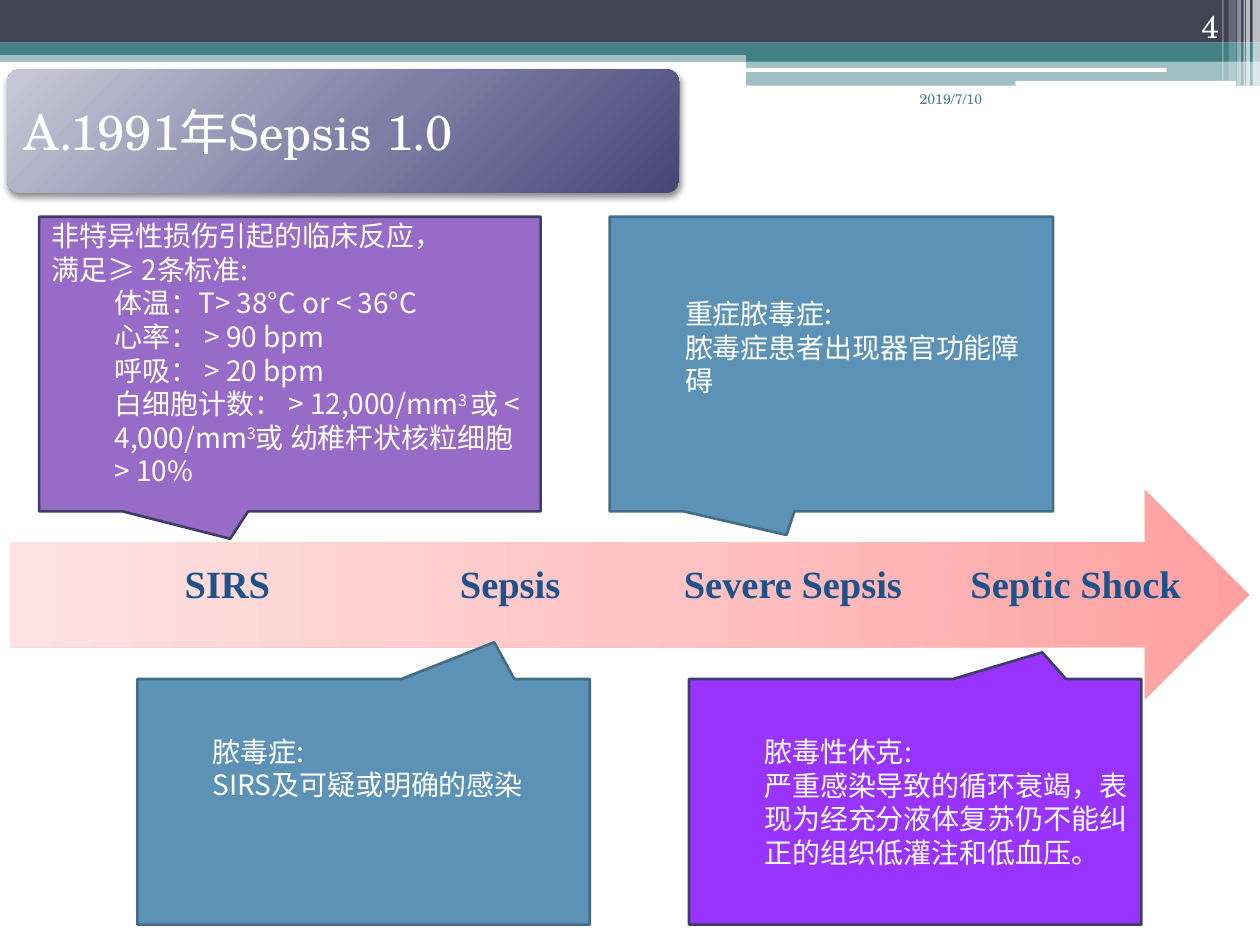
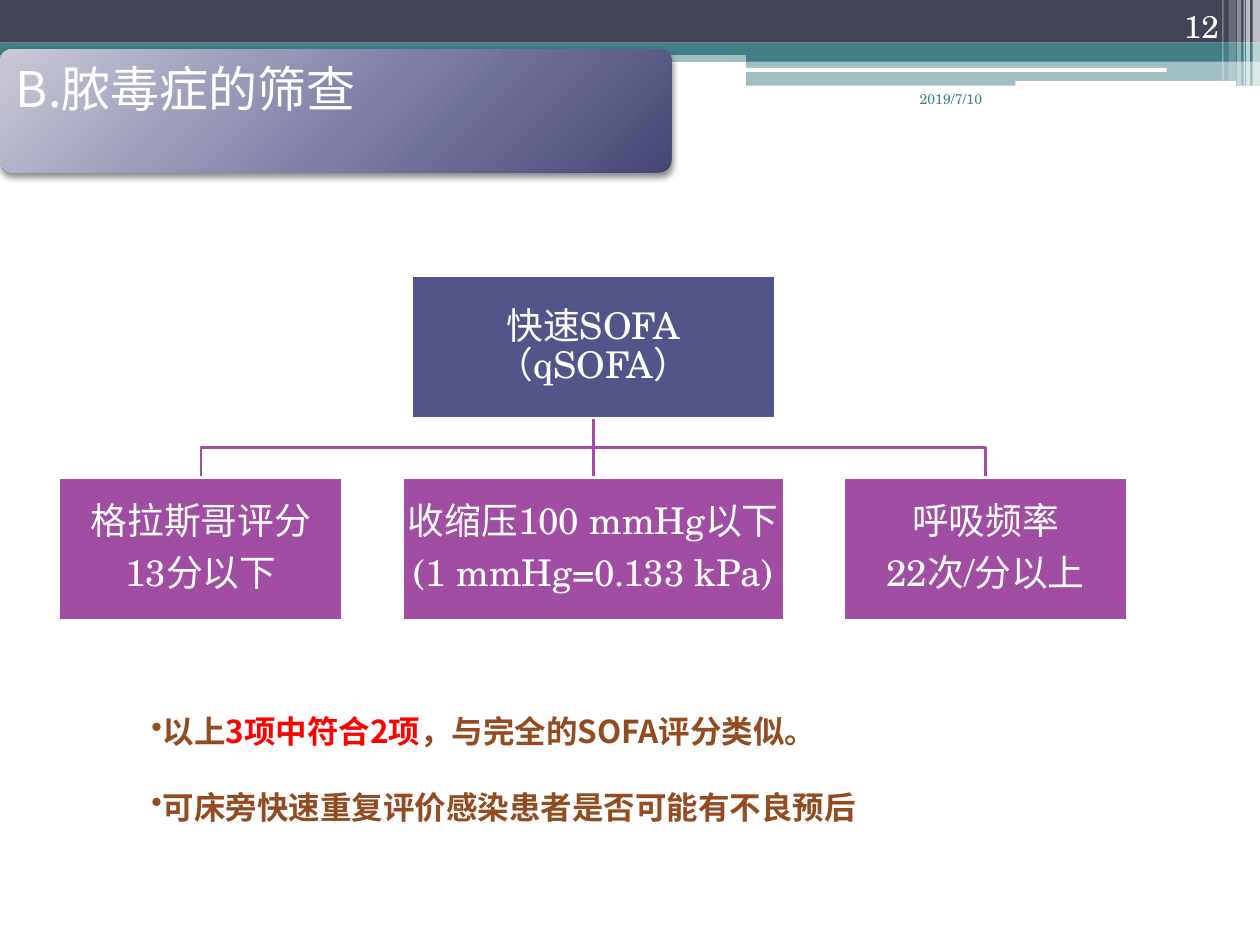
import pptx
import pptx.dml.color
import pptx.enum.shapes
import pptx.enum.text
import pptx.oxml
import pptx.oxml.ns
import pptx.util

Cm = pptx.util.Cm
Pt = pptx.util.Pt
RGBColor = pptx.dml.color.RGBColor
KIND = pptx.enum.shapes.MSO_SHAPE
ANCHOR = pptx.enum.text.MSO_ANCHOR
ALIGN = pptx.enum.text.PP_ALIGN

WHITE = RGBColor(0xFF, 0xFF, 0xFF)
DARK = RGBColor(0x42, 0x44, 0x56)
TEAL = RGBColor(0x43, 0x80, 0x86)
NAVY = RGBColor(0x1D, 0x52, 0x8D)
LILAC = RGBColor(0x97, 0x6B, 0xC7)
STEEL = RGBColor(0x5C, 0x92, 0xB5)
VIOLET = RGBColor(0x99, 0x33, 0xFF)
INDIGO = RGBColor(0x3D, 0x3E, 0x66)
SLATE = RGBColor(0x44, 0x6C, 0x86)
ROOT = RGBColor(0x53, 0x54, 0x8A)
PLUM = RGBColor(0xA0, 0x4D, 0xA3)
BROWN = RGBColor(0x93, 0x4C, 0x22)
RED = RGBColor(0xFF, 0x00, 0x00)

SANS = "Noto Sans CJK SC"
SERIF = "TeX Gyre Schola"
ROMAN = "Times New Roman"

BANDS = [
    (0, 1.02, 25.4, 0.23, TEAL, 50),
    (0, 0, 25.4, 0.86, DARK, 100),
    (0, 0.86, 25.4, 0.25, TEAL, 100),
    (15.04, 0.99, 10.36, 0.25, TEAL, 100),
    (15.04, 1.22, 10.36, 0.51, TEAL, 50),
]
BARS = [(15.01, 1.37, 8.51, 0.08), (20.47, 1.63, 4.45, 0.1)]
STRIPES = [
    (25.25, 0.15, 1.73, 65),
    (25.12, 0.08, 1.73, 65),
    (25.07, 0.03, 1.73, 60),
    (24.94, 0.08, 1.73, 40),
    (24.77, 0.15, 1.63, 20),
    (24.64, 0.03, 1.63, 30),
]
TIGHT = {"alignment": ALIGN.CENTER, "line_spacing": 0.9, "space_after": Pt(7)}
RADIAL = ('<a:path path="circle"><a:fillToRect l="-40000" t="-90000" '
          'r="140000" b="190000"/></a:path>')
LEFTWARD = '<a:lin ang="10800000" scaled="0"/>'


def put(obj, form):
    """Set each attribute named in the format dict."""
    for key, val in form.items():
        setattr(obj, key, val)


def node(tag, attrs="", body=""):
    """Make one drawing element."""
    space = pptx.oxml.ns.nsdecls("a")
    return pptx.oxml.parse_xml(f"<a:{tag} {space} {attrs}>{body}</a:{tag}>")


class Deck:
    """Hold the style and the current slide."""

    def __init__(self):
        """Start an empty deck."""
        self.show = pptx.Presentation()
        put(self.show, {"slide_width": Cm(25.4), "slide_height": Cm(19.05)})

    def page(self, num):
        """Add a slide with the shared bands, date and number."""
        self.slide = self.show.slides.add_slide(self.show.slide_layouts[6])
        for *box, tint, alpha in BANDS:
            self.shape(KIND.RECTANGLE, box, tint, alpha)
        for box in BARS:
            self.shape(KIND.ROUNDED_RECTANGLE, box, WHITE)
        for left, width, height, alpha in STRIPES:
            self.shape(KIND.RECTANGLE, (left, 0, width, height), WHITE, alpha)
        self.label((18.29, 1.7, 2.67, 1.27), "2019/7/10", TEAL,
                   {"size": Pt(8), "name": SERIF})
        self.label((22.71, 0, 2.11, 1.02), num, WHITE,
                   {"size": Pt(18), "name": SERIF},
                   {"vertical_anchor": ANCHOR.BOTTOM},
                   {"alignment": ALIGN.RIGHT})

    def shape(self, kind, box, tint=None, alpha=100, edge=None, adj=()):
        """Add a flat preset shape."""
        item = self.slide.shapes.add_shape(kind, *map(Cm, box))
        for spot, val in enumerate(adj):
            item.adjustments[spot] = val
        if tint is not None:
            item.fill.solid()
            item.fill.fore_color.rgb = tint
            if alpha < 100:
                solid = item.element.spPr.find(pptx.oxml.ns.qn("a:solidFill"))
                solid[0].append(node("alpha", f'val="{alpha * 1000}"'))
        self.stroke(item, edge)
        return item

    def stroke(self, item, edge):
        """Set the outline and drop the shadow."""
        if edge is None:
            item.line.fill.background()
        else:
            item.line.color.rgb = edge
            item.line.width = Pt(1.5)
        item.shadow.inherit = False

    def blend(self, item, stops, route):
        """Fill a shape with a gradient."""
        body = "".join(f'<a:gs pos="{pos * 1000}"><a:srgbClr val="{tint}"/></a:gs>'
                       for pos, tint in stops)
        geom = item.element.spPr.find(pptx.oxml.ns.qn("a:prstGeom"))
        geom.addnext(node("gradFill", 'rotWithShape="1"',
                          f"<a:gsLst>{body}</a:gsLst>{route}"))

    def prose(self, item, paras, ink, font, frame=None, form=None):
        """Set paragraphs, each a string or a list of runs."""
        text = item.text_frame
        put(text, {"word_wrap": True, "vertical_anchor": ANCHOR.MIDDLE,
                   **(frame or {})})
        for spot, runs in enumerate(paras):
            para = text.add_paragraph() if spot else text.paragraphs[0]
            put(para, {"alignment": ALIGN.LEFT, **(form or {})})
            for words, extra in [(runs, {})] if isinstance(runs, str) else runs:
                run = para.add_run()
                run.text = words
                put(run.font, font)
                run.font.color.rgb = extra.get("ink", ink)
                props = run.font._element
                if "base" in extra:
                    props.set("baseline", str(extra["base"] * 1000))
                props.append(node("ea", f'typeface="{SANS}"'))
        return text.paragraphs

    def label(self, box, words, ink, font, frame=None, form=None):
        """Add a one-paragraph text box."""
        item = self.slide.shapes.add_textbox(*map(Cm, box))
        self.prose(item, [words], ink, font,
                   {"vertical_anchor": ANCHOR.TOP, **(frame or {})}, form)

    def title(self, left, top, words, name, anchor):
        """Add the shaded title plate."""
        item = self.shape(KIND.ROUNDED_RECTANGLE, (left, top, 13.54, 2.49),
                          adj=[0.1])
        self.blend(item, [(0, "C9C9D7"), (55, "7D7DA5"), (100, "464774")], RADIAL)
        glow = item.element.spPr.find(pptx.oxml.ns.qn("a:effectLst"))
        glow.append(node(
            "outerShdw", 'blurRad="50800" dist="25400" dir="5400000"',
            '<a:srgbClr val="000000"><a:alpha val="45000"/></a:srgbClr>'))
        self.prose(item, [words], WHITE, {"size": Pt(28), "name": name},
                   {"vertical_anchor": anchor})

    def callout(self, box, tip, tint, edge, paras, foot=0.13, head=0):
        """Add a callout whose paragraphs after the head are indented."""
        item = self.shape(KIND.RECTANGULAR_CALLOUT, box, tint, edge=edge, adj=tip)
        lines = self.prose(item, paras, WHITE, {"size": Pt(16), "name": SANS},
                           {"margin_bottom": Cm(foot)})
        for para in lines[head:]:
            para._p.get_or_add_pPr().set("marL", str(Cm(1.27)))

    def card(self, box, tint, paras):
        """Add a box of the tree."""
        item = self.shape(KIND.RECTANGLE, box, tint, edge=WHITE)
        sides = ("left", "top", "right", "bottom")
        self.prose(item, paras, WHITE, {"size": Pt(21), "name": SERIF},
                   {f"margin_{side}": Cm(0.03) for side in sides}, TIGHT)

    def link(self, start, end, bend):
        """Join a parent to a child, bending at the given height."""
        (left, top), (right, low) = start, end
        if abs(left - right) < 0.01:
            item = self.slide.shapes.add_connector(
                pptx.enum.shapes.MSO_CONNECTOR.STRAIGHT,
                *map(Cm, (left, top, left, low)))
            item.line.color.rgb = PLUM
            item.line.width = Pt(1.5)
            item._element.spPr.append(node("effectLst"))
            return
        pen = self.slide.shapes.build_freeform(Cm(left), Cm(top))
        turns = [(left, bend), (right, bend), (right, low)]
        pen.add_line_segments([(Cm(x), Cm(y)) for x, y in turns], close=False)
        item = pen.convert_to_shape()
        item.fill.background()
        self.stroke(item, PLUM)


def stages(deck):
    """Build the slide on the stages of sepsis."""
    deck.page("4")
    arrow = deck.shape(KIND.RIGHT_ARROW, (0.2, 9.88, 24.99, 4.22))
    deck.blend(arrow, [(0, "FFA0A0"), (50, "FFC5C5"), (100, "FFE3E3")], LEFTWARD)
    frame = {"margin_left": 0, "margin_right": 0, "margin_top": Cm(0.61),
             "margin_bottom": Cm(0.61), "vertical_anchor": ANCHOR.MIDDLE}
    names = ["SIRS", "Sepsis", "Severe Sepsis", "Septic Shock"]
    for spot, name in enumerate(names):
        deck.label((2.21 + 5.7 * spot, 10.72, 4.75, 2.21), name, NAVY,
                   {"size": Pt(22), "name": ROMAN, "bold": True}, frame, TIGHT)
    deck.title(0.15, 1.4, "A.1991年Sepsis 1.0", SERIF, ANCHOR.MIDDLE)
    count = [("白细胞计数： > 12,000/mm", {}), ("3 ", {"base": 30}),
             ("或 < 4,000/mm", {}), ("3", {"base": 30}),
             ("或 幼稚杆状核粒细胞> 10%", {})]
    deck.callout((0.79, 4.37, 10.11, 5.94), (-0.119, 0.593), LILAC, INDIGO,
                 ["非特异性损伤引起的临床反应，", "满足≥ 2条标准:",
                  "体温：T> 38°C or < 36°C", "心率： > 90 bpm",
                  "呼吸： > 20 bpm", count], foot=0.57, head=2)
    deck.callout((12.29, 4.37, 8.94, 5.94), (-0.101, 0.58), STEEL, SLATE,
                 ["重症脓毒症:", "脓毒症患者出现器官功能障碍"], foot=0.81)
    deck.callout((2.77, 13.69, 9.12, 4.95), (0.289, -0.65), STEEL, SLATE,
                 ["脓毒症:", "SIRS及可疑或明确的感染"], foot=1.5)
    deck.callout((13.89, 13.69, 9.12, 4.95), (0.281, -0.609), VIOLET, INDIGO,
                 ["脓毒性休克:",
                  "严重感染导致的循环衰竭，表现为经充分液体复苏仍不能纠正的组织低灌注和低血压。"])


def screen(deck):
    """Build the slide on screening with qSOFA."""
    deck.page("12")
    deck.title(0, 0.99, "B.脓毒症的筛查", SANS, ANCHOR.TOP)
    tests = [
        (5.72, ["格拉斯哥评分", "13分以下"]),
        (7.7, ["收缩压100 mmHg以下", "(1 mmHg=0.133 kPa)"]),
        (5.72, ["呼吸频率", "22次/分以上"]),
    ]
    left, top, high, gap, mid = 1.19, 9.63, 2.87, 1.2, 11.96
    cards = []
    for width, paras in tests:
        cards.append(((left, top, width, high), paras))
        deck.link((mid, 8.43), (left + width / 2, top), 9.02)
        left += width + gap
    deck.card((mid - 3.67, 5.56, 7.34, high), ROOT, ["快速SOFA（qSOFA）"])
    for box, paras in cards:
        deck.card(box, PLUM, paras)
    notes = deck.shape(KIND.ROUND_2_DIAG_RECTANGLE, (2.59, 13.69, 17.48, 4.37), WHITE)
    lines = deck.prose(
        notes,
        [[("以上", {}), ("3项中符合2项", {"ink": RED}), ("，与完全的SOFA评分类似。", {})],
         "可床旁快速重复评价感染患者是否可能有不良预后"],
        BROWN, {"size": Pt(18), "name": SANS, "bold": True},
        {"margin_bottom": Cm(0.88)})
    lines[1].space_before = Pt(21.5)
    for para in lines:
        para._p.get_or_add_pPr().append(node("buChar", 'char="•"'))


def main():
    """Build and save the deck."""
    deck = Deck()
    stages(deck)
    screen(deck)
    deck.show.save("out.pptx")


if __name__ == "__main__":
    main()
